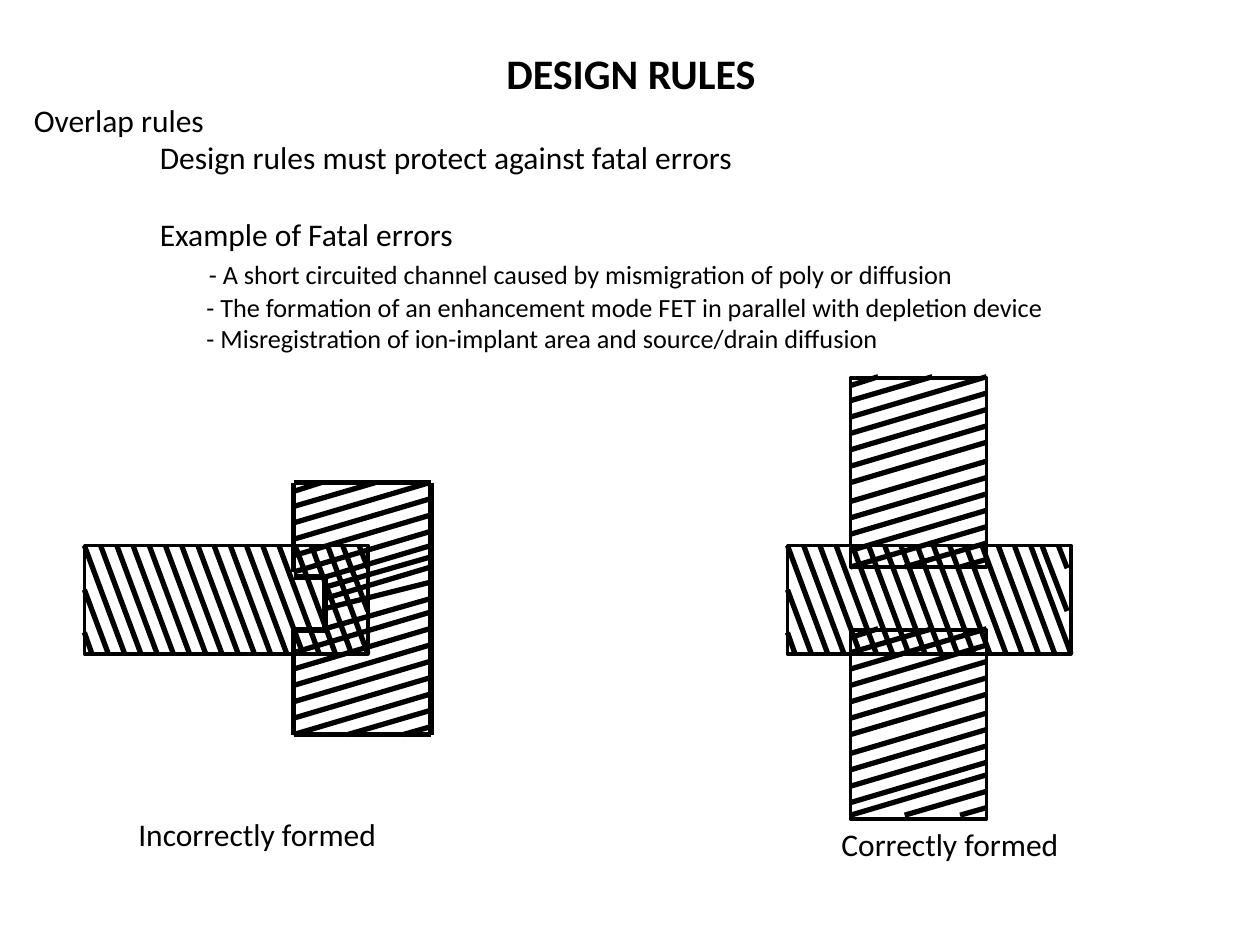
from dataclasses import dataclass

from pptx import Presentation
from pptx.dml.color import RGBColor
from pptx.enum.shapes import MSO_CONNECTOR as Conn, MSO_SHAPE as Shape
from pptx.oxml import parse_xml
from pptx.oxml.ns import nsdecls
from pptx.util import Inches, Pt


@dataclass(frozen=True)
class Theme:
    """Colours, type sizes and line widths of the slide."""
    ink: RGBColor = RGBColor(0, 0, 0)
    font: str = "Calibri"
    title: int = 24
    body: int = 18
    detail: int = 15
    edge: int = 2
    hatch: int = 3


T = Theme()
PITCH = 0.13
SLANT = 0.32
BAR_W, BAR_H = 2.25, 0.86
BLOCK_W = 1.08


def add_par(tf, text, size=T.body, bold=False, indent=0, before=0, after=0):
    """Write one formatted paragraph, using the empty first one if it is free."""
    p = tf.paragraphs[0] if not tf.text else tf.add_paragraph()
    pPr = p._p.get_or_add_pPr()
    pPr.set("marL", str(Inches(indent)))
    pPr.set("indent", "0")
    p.space_before, p.space_after = Pt(before), Pt(after)
    r = p.add_run()
    r.text = text
    r.font.name, r.font.size, r.font.bold = T.font, Pt(size), bold
    r.font.color.rgb = T.ink


def add_box(s, x, y, w, h):
    """Add a wrapping text box and return its text frame."""
    tf = s.shapes.add_textbox(Inches(x), Inches(y), Inches(w), Inches(h)).text_frame
    tf.word_wrap = True
    return tf


def add_line(shapes, x1, y1, x2, y2):
    """Draw one straight hatch or border line."""
    c = shapes.add_connector(Conn.STRAIGHT, Inches(x1), Inches(y1), Inches(x2), Inches(y2))
    c.line.color.rgb, c.line.width = T.ink, Pt(T.hatch)
    c._element.spPr.append(parse_xml(f"<a:effectLst {nsdecls('a')}/>"))


def add_frame(shapes, x, y, w, h):
    """Draw an unfilled rectangle."""
    sp = shapes.add_shape(Shape.RECTANGLE, Inches(x), Inches(y), Inches(w), Inches(h))
    sp.shadow.inherit = False
    sp.fill.background()
    sp.line.color.rgb, sp.line.width = T.ink, Pt(T.edge)


def add_bar(s, x, y, end=BAR_W):
    """Draw a horizontal diffusion bar with steep hatching."""
    shapes = s.shapes.add_group_shape().shapes
    add_frame(shapes, x, y, BAR_W, BAR_H)
    step = (BAR_W - SLANT) / 15
    for i in range(16):
        add_line(shapes, x + i * step + SLANT, y + BAR_H, x + i * step, y)
    for x1, y1, x2, y2 in ((0.19, BAR_H, 0, 0.35), (0.06, BAR_H, 0, 0.69),
                           (end, 0.52, end - 0.2, 0), (end, 0.18, end - 0.07, 0)):
        add_line(shapes, x + x1, y + y1, x + x2, y + y2)


def hatch_block(s, x, top, foot, head, tail, lift=0):
    """Hatch a poly block with head strokes from its top and tail strokes from its foot."""
    right, low = x + BLOCK_W, foot - lift
    rows = [top + SLANT + i * PITCH for i in range(head)]
    rows += [low] + [foot - i * PITCH for i in range(1, tail)]
    for y in rows:
        add_line(s.shapes, x, y, right, y - SLANT)
    add_line(s.shapes, x, top + 0.07, x + 0.22, top)
    add_line(s.shapes, x, top + 0.19, x + 0.65, top)
    add_line(s.shapes, x + 0.43, low, right, low - 0.19)
    add_line(s.shapes, x + 0.87, low, right, low - 0.06)


def add_incorrect(s):
    """Draw the incorrectly formed device with its notched poly block."""
    left, notch, right = 2.33, 2.58, 3.42
    top, foot = 3.83, 5.83
    hatch_block(s, left, top, foot, 4, 6)
    for y1, y2 in ((4.99, 4.75), (4.83, 4.62), (4.75, 4.5), (4.66, 4.42), (4.58, 4.33)):
        add_line(s.shapes, notch, y1, right, y2)
    add_bar(s, 0.67, 4.33)
    for ends in ((left, top, right, top), (right, top, right, foot),
                 (left, foot, right, foot), (left, top, left, 4.54),
                 (left, 5, left, foot), (notch, 4.58, notch, 5),
                 (left, 4.58, notch, 4.58), (left, 5, notch, 5)):
        add_line(s.shapes, *ends)


def add_correct(s):
    """Draw the correctly formed device with poly above and below the bar."""
    x = 6.75
    add_bar(s, 6.25, 4.33, end=2.22)
    for top, lift in ((3, 0), (5, 0.03)):
        add_frame(s.shapes, x, top, BLOCK_W, 1.5)
        hatch_block(s, x, top - 0.01, top + 1.5, 5, 5, lift)


def add_rules(s):
    """Write the list of overlap rules."""
    tf = add_box(s, 0.17, 0.75, 9.83, 2.4)
    add_par(tf, "Overlap rules")
    add_par(tf, "Design rules must protect against fatal errors", indent=1)
    add_par(tf, "Example of Fatal errors", indent=1, before=22)
    add_par(tf, "- A short circuited channel caused by mismigration of poly or diffusion",
            size=T.detail, indent=1.39, before=3, after=1)
    for text in ("- The formation of an enhancement mode FET in parallel with depletion device",
                 "- Misregistration of ion-implant area and source/drain diffusion"):
        add_par(tf, text, size=T.detail, indent=1.37)


def main():
    """Build and save the slide."""
    prs = Presentation()
    prs.slide_width, prs.slide_height = Inches(10), Inches(7.5)
    s = prs.slides.add_slide(prs.slide_layouts[6])
    add_par(add_box(s, 3.92, 0.33, 2.25, 0.5), "DESIGN RULES", size=T.title, bold=True)
    add_rules(s)
    add_correct(s)
    add_incorrect(s)
    add_par(add_box(s, 1, 6.42, 2.5, 0.4), "Incorrectly formed")
    add_par(add_box(s, 6.58, 6.5, 2.5, 0.4), "Correctly formed")
    prs.save("out.pptx")


if __name__ == "__main__":
    main()
